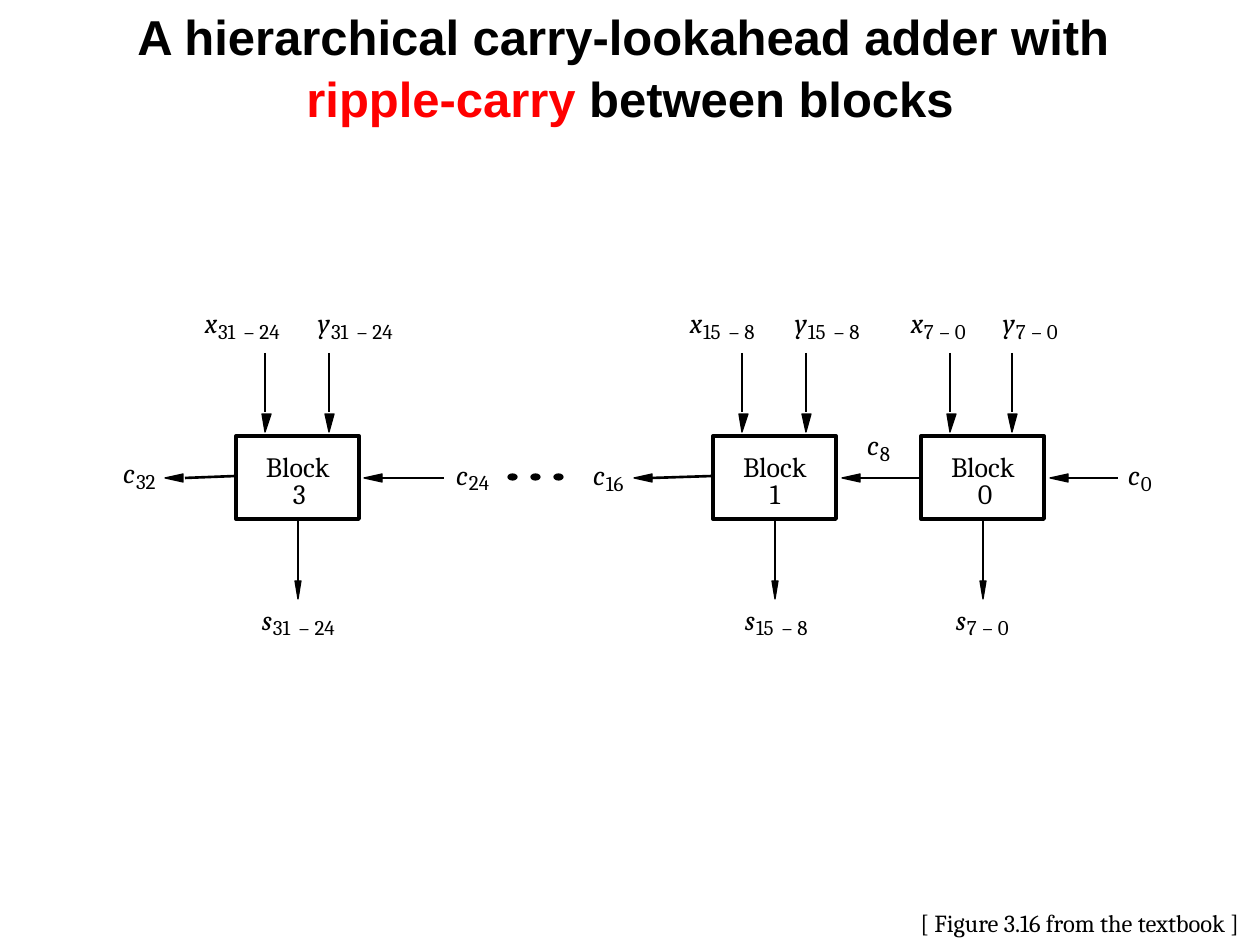
"""Builds a slide showing a hierarchical adder with ripple-carry between blocks."""
from lxml import etree
from pptx import Presentation
from pptx.dml.color import RGBColor
from pptx.enum.shapes import MSO_CONNECTOR, MSO_SHAPE
from pptx.enum.text import MSO_ANCHOR, MSO_AUTO_SIZE, PP_ALIGN
from pptx.oxml.ns import qn
from pptx.util import Emu, Pt

STRAIGHT = MSO_CONNECTOR.STRAIGHT
RECTANGLE, OVAL = MSO_SHAPE.RECTANGLE, MSO_SHAPE.OVAL
TOP, CENTER = MSO_ANCHOR.TOP, PP_ALIGN.CENTER
FIT, FIXED = MSO_AUTO_SIZE.SHAPE_TO_FIT_TEXT, MSO_AUTO_SIZE.NONE
SCALE = 914400 // 126
BLACK, RED = "000000", "FF0000"


def px(*lengths):
    return [Emu(round(length * 914400 / 126)) for length in lengths]


def color(hex_code):
    return RGBColor.from_string(hex_code)


def write(paragraph, text, size=16, font="Cambria", ink=BLACK, italic=False, bold=False):
    run = paragraph.add_run()
    run.text = text
    run.font.size, run.font.name = Pt(size), font
    run.font.italic, run.font.bold = italic, bold
    run.font.color.rgb = color(ink)


class AdderSlide:
    """Holds the style and the slide, and draws each kind of element."""

    def __init__(self, slide):
        self.slide = slide
        self.diagram = slide.shapes.add_group_shape().shapes

    def title(self, lines, box):
        heading = self.slide.shapes.title
        heading.left, heading.top, heading.width, heading.height = px(*box)
        frame = heading.text_frame
        frame.auto_size, frame.vertical_anchor, frame.word_wrap = FIXED, TOP, True
        for index, line in enumerate(lines):
            paragraph = frame.add_paragraph() if index else frame.paragraphs[0]
            paragraph.alignment = CENTER
            paragraph.space_before = Pt(2)
            for words, ink in line:
                write(paragraph, words, size=28, font="Arial", ink=ink, bold=True)

    def label(self, text, left, top, width, height=34, **style):
        frame = self.diagram.add_textbox(*px(left, top, width, height)).text_frame
        frame.margin_left = frame.margin_right = frame.margin_top = frame.margin_bottom = 0
        frame.word_wrap, frame.auto_size = False, FIT
        write(frame.paragraphs[0], text, **style)

    def symbol(self, letter, left, top, *indices):
        self.label(letter, left, top, 11 if letter == "s" else 13, italic=True)
        left += 11 if letter == "s" else 13
        for part in " – ".join(indices).split():
            width = 10.5 * len(part)
            self.label(part, left, top + 13, width, 25, size=12)
            left += width + 5

    def shape(self, preset, left, top, width, height, filled=False):
        shape = self.diagram.add_shape(preset, *px(left, top, width, height))
        shape.shadow.inherit = False
        self.paint(shape, 0 if filled else 2.25, filled)

    def paint(self, shape, line_width, filled):
        if filled:
            shape.fill.solid()
            shape.fill.fore_color.rgb = color(BLACK)
        else:
            shape.fill.background()
        shape.line.color.rgb = color(BLACK)
        shape.line.width = Pt(line_width)

    def line(self, *ends):
        line = self.diagram.add_connector(STRAIGHT, *px(*ends))
        line.line.color.rgb, line.line.width = color(BLACK), Pt(1.5)
        etree.SubElement(line._element.spPr, qn("a:effectLst"))

    def head(self, *corners):
        start, *rest = [tuple(px(*corner)) for corner in corners]
        builder = self.diagram.build_freeform(*start, scale=1)
        builder.add_line_segments(rest, close=True)
        head = builder.convert_to_shape()
        head.shadow.inherit = False
        self.paint(head, 0, True)

    def arrow_down(self, x, top, bottom, gap, before, after):
        self.line(x, top, x, bottom - 18 - gap)
        self.head((x - before, bottom - 18), (x, bottom), (x + after, bottom - 18))

    def arrow_left(self, tip, tail, tail_y=478, gap=0):
        self.line(tail, tail_y, tip + 18 + gap, 478)
        self.head((tip + 18, 474), (tip, 478), (tip + 18, 482))

    def block(self, number, left, y_offset):
        self.shape(RECTANGLE, left, 436, 123, 83)
        self.label("Block", left + 30, 450, 67)
        self.label(number, left + 57, 476, 14)
        self.arrow_down(left + 29, 353, 432, 2, 3, 6)
        self.arrow_down(left + y_offset, 353, 432, 2, 4, 5)
        self.arrow_down(left + 62, 519, 599, 0, 3, 3)

    def caption(self, text, box):
        frame = self.slide.shapes.add_textbox(*px(*box)).text_frame
        frame.word_wrap, frame.auto_size = False, FIT
        write(frame.paragraphs[0], text, size=14)


presentation = Presentation()
presentation.slide_width, presentation.slide_height = px(1260, 945)
adder = AdderSlide(presentation.slides.add_slide(presentation.slide_layouts[5]))

BLOCKS = [
    ("3", 236, 93, ("31", "24"), (205, 318, 262)),
    ("1", 713, 93, ("15", "8"), (690, 795, 745)),
    ("0", 921, 91, ("7", "0"), (911, 1003, 956)),
]
for number, left, y_offset, bits, symbol_lefts in BLOCKS:
    adder.block(number, left, y_offset)
    for letter, symbol_left, top in zip("xys", symbol_lefts, (306, 306, 602)):
        adder.symbol(letter, symbol_left, top, *bits)

adder.arrow_left(165, 236, tail_y=476, gap=2)
adder.arrow_left(634, 713, tail_y=476)
for tip, tail in [(364, 444), (842, 921), (1050, 1118)]:
    adder.arrow_left(tip, tail)

CARRIES = [("32", 123, 456), ("24", 456, 457), ("16", 593, 458), ("8", 867, 428), ("0", 1128, 458)]
for index, left, top in CARRIES:
    adder.symbol("c", left, top, index)

for dot in range(3):
    adder.shape(OVAL, 508 + 23 * dot, 474, 9, 6, filled=True)

adder.title(
    [
        [("A hierarchical carry-lookahead adder with ", BLACK)],
        [("ripple-carry", RED), (" between blocks", BLACK)],
    ],
    (0, 0, 1260, 94),
)
adder.caption("[ Figure 3.16 from the textbook ]", (908, 902, 352, 43))
presentation.save("out.pptx")
